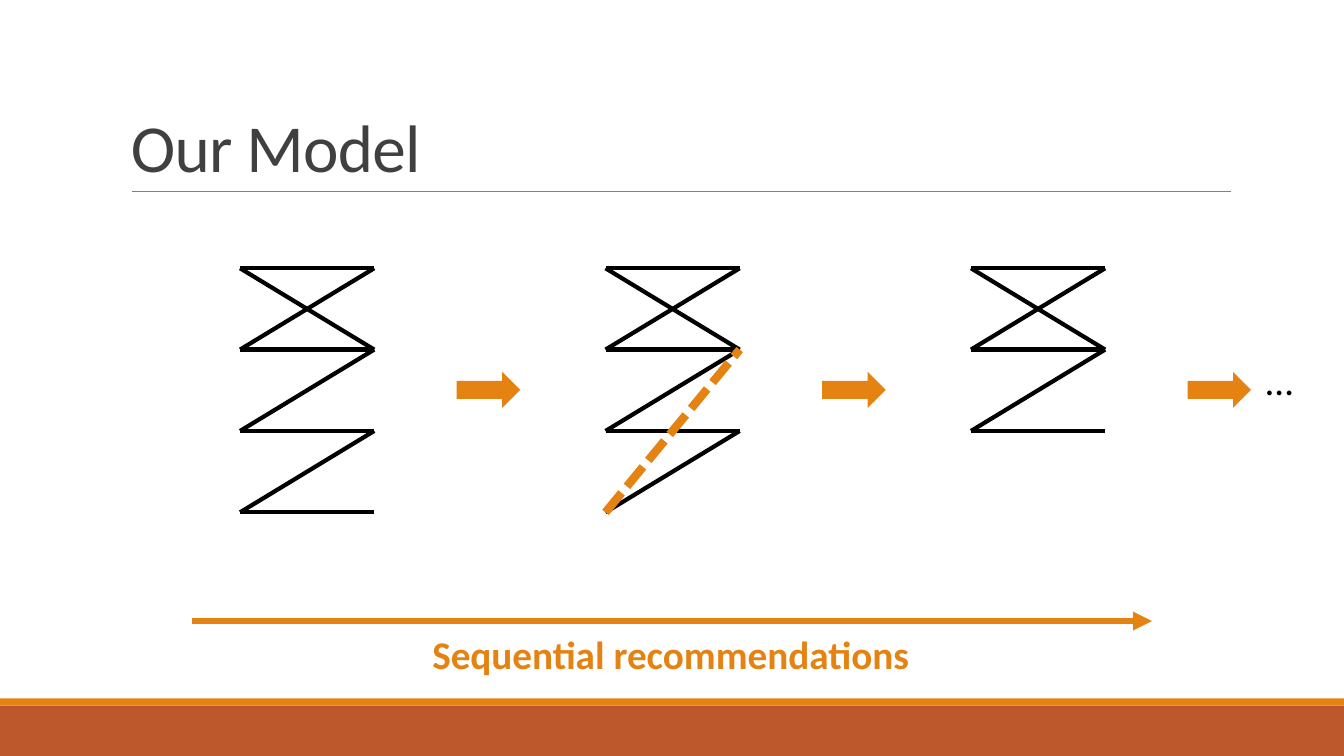
from dataclasses import dataclass

from lxml import etree
from pptx import Presentation
from pptx import util as u
from pptx.dml.color import RGBColor
from pptx.enum import dml, shapes, text
from pptx.oxml import ns
from pptx.shapes.connector import Connector
from pptx.slide import Slide

COLORS = {
    "black": "000000",
    "orange": "E48312",
    "rust": "BD582C",
    "title": "404040",
    "rule": "808080",
}
FONT = "Calibri"
GRAPH_LEFT, GRAPH_TOP = 6.05, 6.76
GRAPH_WIDTH, ROW_HEIGHT = 3.38, 2.05
STEP_PITCH = 9.21
BLOCK_ARROW_LEFT = 11.51


@dataclass
class Edge:
    left_row: int
    right_row: int
    color: str = "black"
    weight: float = 3
    dashed: bool = False


@dataclass
class Block:
    kind: shapes.MSO_SHAPE
    left: float
    top: float
    width: float
    height: float
    color: str


@dataclass
class Label:
    words: str
    left: float
    top: float
    width: float
    height: float
    size: int
    color: str
    bold: bool = False
    align: text.PP_ALIGN = text.PP_ALIGN.CENTER
    anchor: text.MSO_ANCHOR = text.MSO_ANCHOR.TOP
    line_spacing: float = 1.0
    tracking: int = 0


SHARED_EDGES = [Edge(1, 1), Edge(1, 0), Edge(2, 1), Edge(2, 2), Edge(0, 0), Edge(0, 1)]
STEPS = [
    [*SHARED_EDGES, Edge(3, 2), Edge(3, 3)],
    [*SHARED_EDGES, Edge(3, 2), Edge(3, 1, "orange", 6, True)],
    SHARED_EDGES,
]
FOOTER = [
    Block(shapes.MSO_SHAPE.RECTANGLE, 0, 17.78, 33.87, 1.27, "rust"),
    Block(shapes.MSO_SHAPE.RECTANGLE, 0, 17.6, 33.87, 0.18, "orange"),
]
LABELS = [
    Label("…", 31.34, 8.86, 1.8, 1.45, 28, "black"),
    Label("Sequential recommendations", 9.47, 15.75, 14.86, 1.45, 28, "orange", bold=True),
    Label("Our Model", 3.05, 0.79, 27.94, 4.04, 48, "title", align=text.PP_ALIGN.LEFT,
          anchor=text.MSO_ANCHOR.BOTTOM, line_spacing=0.85, tracking=-50),
]


def rgb(name: str) -> RGBColor:
    return RGBColor.from_string(COLORS[name])


def draw_line(page: Slide, x1: float, y1: float, x2: float, y2: float,
              color: str, weight: float) -> Connector:
    line = page.shapes.add_connector(
        shapes.MSO_CONNECTOR.STRAIGHT, u.Cm(x1), u.Cm(y1), u.Cm(x2), u.Cm(y2))
    line.line.color.rgb = rgb(color)
    line.line.width = u.Pt(weight)
    etree.SubElement(line._element.spPr, ns.qn("a:effectLst"))
    return line


def draw_block(page: Slide, block: Block) -> None:
    shape = page.shapes.add_shape(
        block.kind, u.Cm(block.left), u.Cm(block.top), u.Cm(block.width), u.Cm(block.height))
    shape.shadow.inherit = False
    shape.fill.solid()
    shape.fill.fore_color.rgb = rgb(block.color)
    shape.line.fill.background()


def draw_graph(page: Slide, left: float, edges: list[Edge]) -> None:
    for edge in edges:
        line = draw_line(
            page, left, GRAPH_TOP + edge.left_row * ROW_HEIGHT,
            left + GRAPH_WIDTH, GRAPH_TOP + edge.right_row * ROW_HEIGHT,
            edge.color, edge.weight)
        if edge.dashed:
            line.line.dash_style = dml.MSO_LINE.SQUARE_DOT


def draw_label(page: Slide, label: Label) -> None:
    box = page.shapes.add_textbox(
        u.Cm(label.left), u.Cm(label.top), u.Cm(label.width), u.Cm(label.height))
    frame = box.text_frame
    frame.word_wrap = True
    frame.vertical_anchor = label.anchor
    frame.text = label.words
    para = frame.paragraphs[0]
    para.alignment = label.align
    para.line_spacing = label.line_spacing
    span = para.runs[0]
    span.font.name = FONT
    span.font.size = u.Pt(label.size)
    span.font.bold = label.bold
    span.font.color.rgb = rgb(label.color)
    if label.tracking:
        span._r.get_or_add_rPr().set("spc", str(label.tracking))


def draw_timeline(page: Slide) -> None:
    timeline = draw_line(page, 4.85, 15.65, 29.03, 15.65, "orange", 4.5)
    etree.SubElement(timeline.line._get_or_add_ln(), ns.qn("a:tailEnd"), type="triangle")


def main() -> None:
    deck = Presentation()
    deck.slide_width, deck.slide_height = u.Cm(33.87), u.Cm(19.05)
    page = deck.slides.add_slide(deck.slide_layouts[6])
    for block in FOOTER:
        draw_block(page, block)
    draw_line(page, 3.33, 4.83, 31.01, 4.83, "rule", 0.5)
    for index, edges in enumerate(STEPS):
        offset = index * STEP_PITCH
        draw_graph(page, GRAPH_LEFT + offset, edges)
        draw_block(page, Block(shapes.MSO_SHAPE.RIGHT_ARROW, BLOCK_ARROW_LEFT + offset,
                               9.37, 1.6, 0.91, "orange"))
    draw_timeline(page)
    for label in LABELS:
        draw_label(page, label)
    deck.save("out.pptx")


if __name__ == "__main__":
    main()
